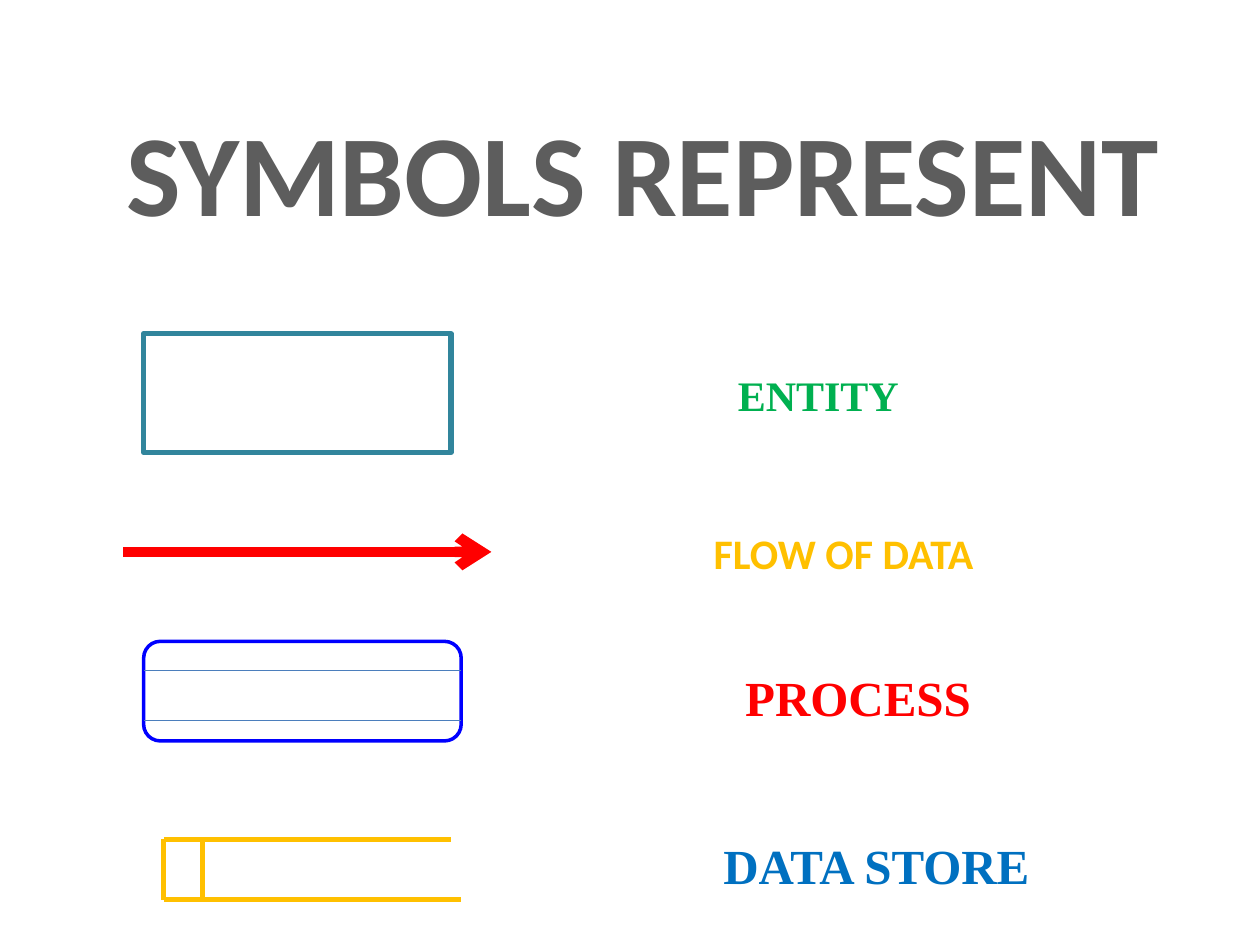
from dataclasses import dataclass

from lxml.etree import SubElement
from pptx import Presentation
from pptx.dml.color import RGBColor
from pptx.enum.shapes import MSO_CONNECTOR as Connector, MSO_SHAPE as Preset
from pptx.enum.text import MSO_ANCHOR as Anchor, MSO_AUTO_SIZE as AutoSize, PP_ALIGN as Align
from pptx.oxml.ns import qn
from pptx.util import Inches, Pt


@dataclass
class Label:
    text: str
    left: float
    top: float
    width: float
    height: float
    color: str
    size: int
    font: str = "Times New Roman"


@dataclass
class Outline:
    preset: Preset
    left: float
    top: float
    width: float
    height: float
    color: str
    weight: float
    fill: str = ""


@dataclass
class Line:
    start: tuple[float, float]
    end: tuple[float, float]
    color: str
    weight: float
    arrow: bool = False


STORE_LEFT, STORE_DIVIDER, STORE_TOP, STORE_BOTTOM = 1.3, 1.61, 6.66, 7.14
PROCESS_LEFT, PROCESS_WIDTH = 1.14, 2.52
PROCESS_RIGHT = PROCESS_LEFT + PROCESS_WIDTH
AMBER = "FFC000"

LABELS = [
    Label("ENTITY", 5.55, 2.88, 1.89, 0.5, "00B050", 24),
    Label("FLOW OF DATA", 5.08, 4.14, 3.23, 0.5, AMBER, 24, "Calibri"),
    Label("PROCESS", 5.71, 5.25, 2.2, 0.57, "FF0000", 28),
    Label("DATA STORE", 5.5, 6.58, 2.91, 0.57, "0070C0", 28),
]
OUTLINES = [
    Outline(Preset.RECTANGLE, 1.14, 2.65, 2.44, 0.94, "31859C", 3, "FFFFFF"),
    Outline(Preset.ROUNDED_RECTANGLE, PROCESS_LEFT, 5.09, PROCESS_WIDTH, 0.79, "0000FF", 2),
]
FLOW_LINES = [Line((0.98, 4.38), (3.9, 4.38), "FF0000", 6, arrow=True)]
PROCESS_LINES = [
    Line((PROCESS_LEFT, y), (PROCESS_RIGHT, y), "4B7EBC", 0.75) for y in (5.32, 5.72)
]
STORE_LINES = [
    Line((STORE_LEFT, y), (right, y), AMBER, 3)
    for y, right in ((STORE_TOP, 3.58), (STORE_BOTTOM, 3.66))
] + [
    Line((x, STORE_TOP), (x, STORE_BOTTOM), AMBER, 3) for x in (STORE_LEFT, STORE_DIVIDER)
]


def rgb(color: str) -> RGBColor:
    return RGBColor.from_string(color)


def write_text(shape, text: str, *, size: int, color: str, font: str,
               anchor: Anchor = Anchor.TOP) -> None:
    frame = shape.text_frame
    frame.word_wrap = True
    frame.auto_size = AutoSize.NONE
    frame.vertical_anchor = anchor
    paragraph = frame.paragraphs[0]
    paragraph.alignment = Align.CENTER
    run = paragraph.add_run()
    run.text = text
    run.font.name = font
    run.font.size = Pt(size)
    run.font.bold = True
    run.font.color.rgb = rgb(color)


def add_title(slide, text: str) -> None:
    title = slide.shapes.title
    title.left, title.top = Inches(0.5), Inches(0.75)
    title.width, title.height = Inches(9.21), Inches(1.21)
    write_text(title, text, size=66, color="5D5D5D", font="Calibri", anchor=Anchor.MIDDLE)


def add_label(slide, label: Label) -> None:
    box = slide.shapes.add_textbox(
        Inches(label.left), Inches(label.top), Inches(label.width), Inches(label.height))
    write_text(box, label.text, size=label.size, color=label.color, font=label.font)


def add_outline(slide, outline: Outline) -> None:
    shape = slide.shapes.add_shape(
        outline.preset, Inches(outline.left), Inches(outline.top),
        Inches(outline.width), Inches(outline.height))
    shape.shadow.inherit = False
    if outline.fill:
        shape.fill.solid()
        shape.fill.fore_color.rgb = rgb(outline.fill)
    else:
        shape.fill.background()
    shape.line.color.rgb = rgb(outline.color)
    shape.line.width = Pt(outline.weight)


def add_line(slide, line: Line) -> None:
    points = [Inches(value) for value in (*line.start, *line.end)]
    connector = slide.shapes.add_connector(Connector.STRAIGHT, *points)
    connector.line.color.rgb = rgb(line.color)
    connector.line.width = Pt(line.weight)
    if line.arrow:
        SubElement(connector.line._get_or_add_ln(), qn("a:tailEnd"), type="arrow")
    SubElement(connector._element.spPr, qn("a:effectLst"))


def main() -> None:
    presentation = Presentation()
    presentation.slide_width, presentation.slide_height = Inches(10), Inches(7.5)
    slide = presentation.slides.add_slide(presentation.slide_layouts[5])
    add_title(slide, "SYMBOLS REPRESENT")
    for label in LABELS:
        add_label(slide, label)
    for outline in OUTLINES:
        add_outline(slide, outline)
    for line in FLOW_LINES + PROCESS_LINES + STORE_LINES:
        add_line(slide, line)
    presentation.save("out.pptx")


if __name__ == "__main__":
    main()
